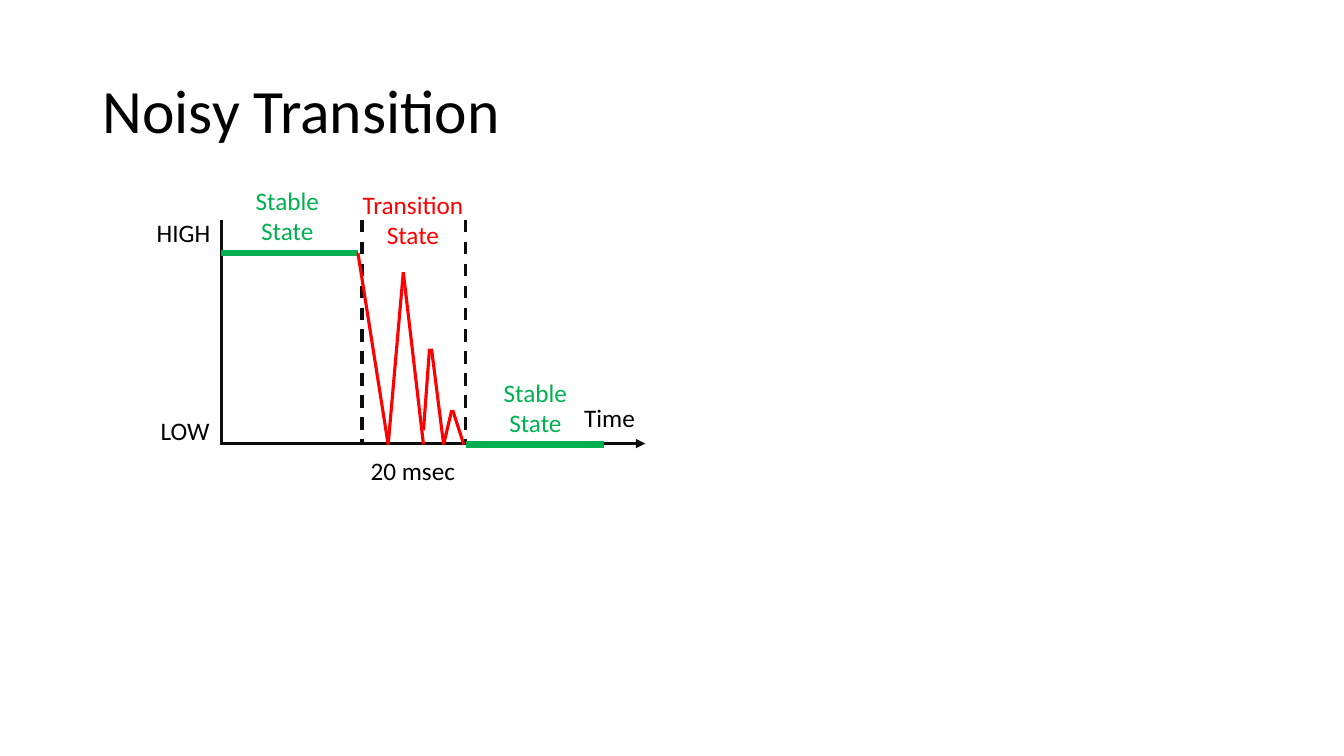
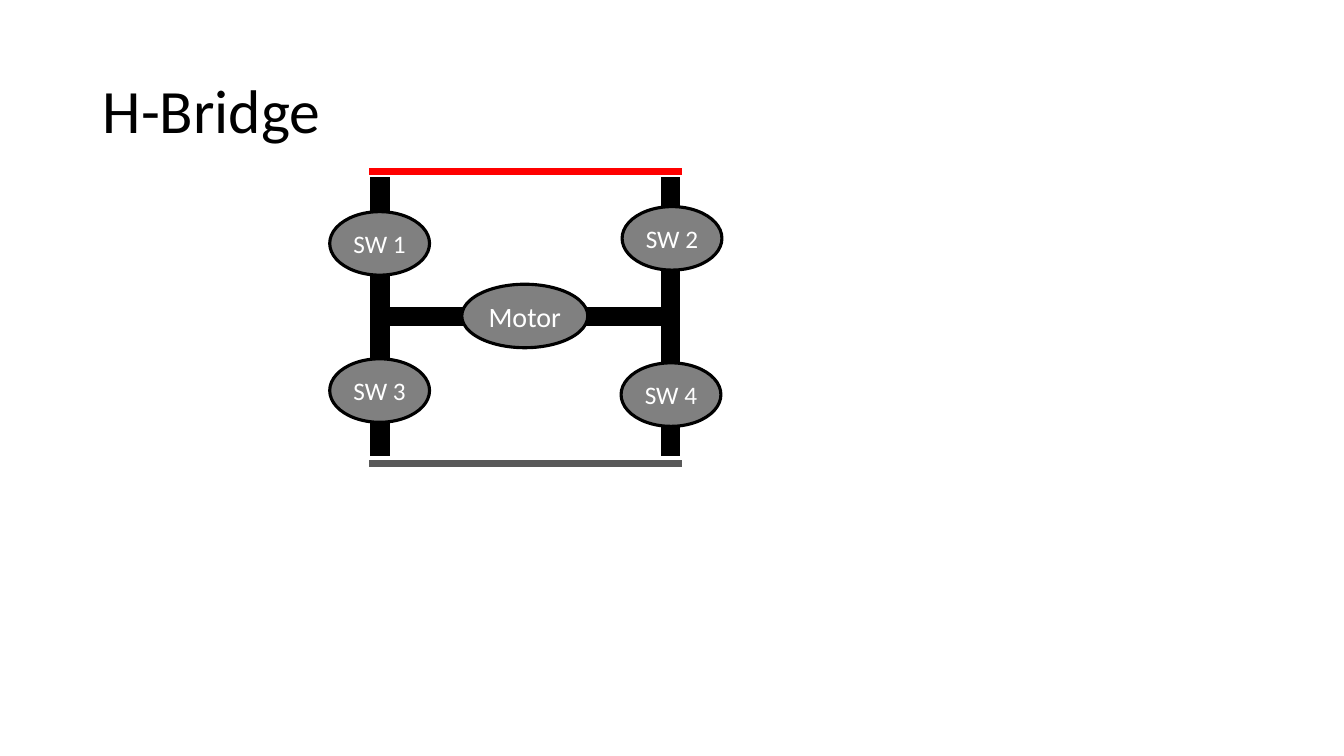
from dataclasses import dataclass

from lxml.etree import SubElement
from pptx import Presentation
from pptx.dml.color import RGBColor as RGB
from pptx.enum.dml import MSO_LINE_DASH_STYLE as DASH
from pptx.enum.shapes import MSO_CONNECTOR as CONNECTOR, MSO_SHAPE as SHAPE
from pptx.enum.text import MSO_ANCHOR as ANCHOR, PP_ALIGN as ALIGN
from pptx.oxml.ns import qn
from pptx.util import Inches, Pt


@dataclass(frozen=True)
class Theme:
    font: str = "Calibri"
    black: RGB = RGB(0, 0, 0)
    white: RGB = RGB(255, 255, 255)
    axis: RGB = RGB(0x0D, 0x0D, 0x0D)
    stable: RGB = RGB(0x00, 0xB0, 0x50)
    red: RGB = RGB(0xFF, 0, 0)
    node: RGB = RGB(0x80, 0x80, 0x80)
    ground: RGB = RGB(0x59, 0x59, 0x59)
    title_size: float = 44
    motor_size: float = 20
    label_size: float = 18
    thin: float = 2.25
    level: float = 4.5
    rail: float = 5
    wire: float = 14


T = Theme()


def write(tf, text, size, color, align=ALIGN.CENTER):
    tf.text = text
    for p in tf.paragraphs:
        p.alignment = align
        p.font.name = T.font
        p.font.size = Pt(size)
        p.font.color.rgb = color


def add_title(s, text):
    sp = s.shapes.add_textbox(Inches(0.92), Inches(0.4), Inches(11.5), Inches(1.45))
    tf = sp.text_frame
    tf.word_wrap = True
    tf.vertical_anchor = ANCHOR.MIDDLE
    write(tf, text, T.title_size, T.black, ALIGN.LEFT)
    tf.paragraphs[0].line_spacing = 0.9


def add_label(s, text, x, y, w, color=T.black):
    h = 0.71 if "\n" in text else 0.4
    sp = s.shapes.add_textbox(Inches(x), Inches(y), Inches(w), Inches(h))
    sp.text_frame.word_wrap = False
    write(sp.text_frame, text, T.label_size, color)


def add_line(s, start, end, color, width, dash=None, arrow=False, square=False):
    sp = s.shapes.add_connector(CONNECTOR.STRAIGHT, *map(Inches, start + end))
    sp.line.color.rgb = color
    sp.line.width = Pt(width)
    if dash:
        sp.line.dash_style = dash
    ln = sp.line._get_or_add_ln()
    if square:
        ln.set("cap", "sq")
    if arrow:
        SubElement(ln, qn("a:tailEnd"), type="triangle")
    SubElement(sp._element.spPr, qn("a:effectLst"))


def add_node(s, text, x, y, w=0.99, size=T.label_size):
    sp = s.shapes.add_shape(SHAPE.OVAL, Inches(x), Inches(y), Inches(w), Inches(0.63))
    sp.shadow.inherit = False
    sp.fill.solid()
    sp.fill.fore_color.rgb = T.node
    sp.line.color.rgb = T.black
    sp.line.width = Pt(T.thin)
    sp.text_frame.word_wrap = False
    sp.text_frame.vertical_anchor = ANCHOR.MIDDLE
    write(sp.text_frame, text, size, T.white)


def noisy_transition(s):
    add_title(s, "Noisy Transition")
    top, high, low = 2.18, 2.51, 4.41
    add_line(s, (2.2, top), (2.2, low), T.axis, T.thin)
    add_line(s, (2.2, 4.4), (6.4, 4.4), T.axis, T.thin, arrow=True)
    for x in (3.59, 4.62):
        add_line(s, (x, top), (x, low), T.axis, T.thin, dash=DASH.DASH)
    add_line(s, (2.19, high), (3.55, high), T.stable, T.level)
    bounces = [
        ((3.55, high), (3.85, low)),
        ((4, 2.7), (3.85, low)),
        ((4, 2.7), (4.2, low)),
        ((4.26, 3.46), (4.2, 4.27)),
        ((4.28, 3.46), (4.4, low)),
        ((4.48, 4.07), (4.4, low)),
        ((4.49, 4.07), (4.6, low)),
    ]
    for peak, foot in bounces:
        add_line(s, peak, foot, T.red, T.thin)
    add_line(s, (4.62, low), (5.99, low), T.stable, T.level)
    add_label(s, "LOW", 1.49, 4.07, 0.69)
    add_label(s, "HIGH", 1.45, 2.11, 0.74)
    add_label(s, "Transition\nState", 3.49, 1.83, 1.21, T.red)
    add_label(s, "Time", 5.69, 3.94, 0.71)
    for x, y in ((2.43, 1.79), (4.89, 3.69)):
        add_label(s, "Stable\nState", x, y, 0.84, T.stable)
    add_label(s, "20 msec", 3.57, 4.47, 1.05)


def h_bridge(s):
    add_title(s, "H-Bridge")
    left, right = 3.77, 6.65
    wires = [
        ((left, 1.85), (left, 4.43)),
        ((right, 1.85), (right, 4.43)),
        ((left, 3.14), (6.62, 3.14)),
    ]
    for start, end in wires:
        add_line(s, start, end, T.black, T.wire, square=True)
    add_node(s, "Motor", 4.58, 2.82, 1.25, T.motor_size)
    switches = [(3.27, 2.1), (6.17, 2.05), (3.27, 3.56), (6.16, 3.6)]
    for number, (x, y) in enumerate(switches, 1):
        add_node(s, f"SW {number}", x, y)
    for y, color in ((4.6, T.ground), (1.7, T.red)):
        add_line(s, (3.66, y), (6.76, y), color, T.rail)


def main():
    prs = Presentation()
    prs.slide_width, prs.slide_height = Inches(13.33), Inches(7.5)
    for build in (noisy_transition, h_bridge):
        build(prs.slides.add_slide(prs.slide_layouts[6]))
    prs.save("out.pptx")


if __name__ == "__main__":
    main()
